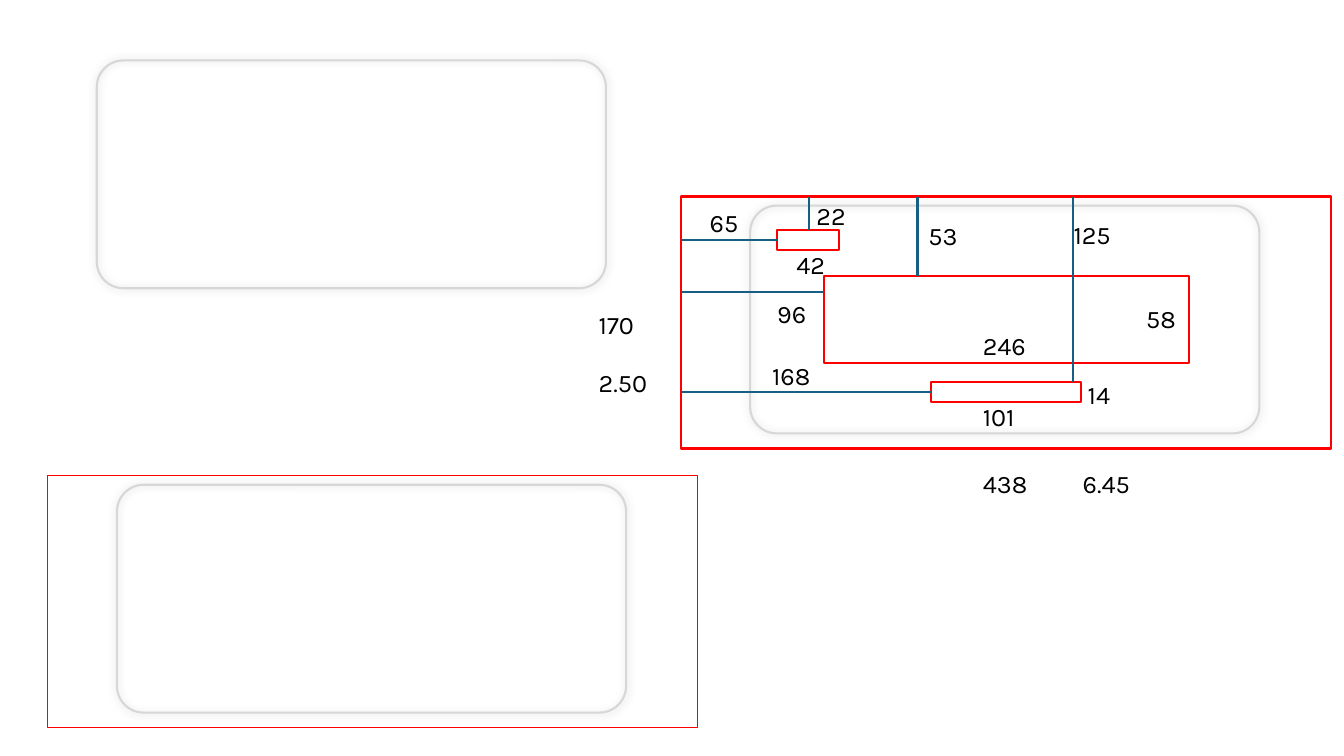
from dataclasses import dataclass

from lxml import etree
from pptx import Presentation, util as u
from pptx.dml.color import RGBColor
from pptx.enum import shapes, text
from pptx.oxml import ns

PX = 9144


@dataclass(frozen=True)
class Theme:
    font: str = "Karla"
    label_size: int = 18
    ink: str = "000000"
    card: str = "D7D7D7"
    frame: str = "FF0000"
    leader: str = "156082"
    stroke: float = 1.5
    hairline: float = 0.5
    glow: int = 6
    corner: float = 0.117


def px(*lengths):
    return [u.Emu(length * PX) for length in lengths]


def write(frame, words, font, size, color):
    run = frame.paragraphs[0].add_run()
    run.text = words
    run.font.name = font
    run.font.size = u.Pt(size)
    run.font.color.rgb = RGBColor.from_string(color)


class Sketch:
    """Draws the elements of a dimensioned layout on one slide."""

    def __init__(self, slide, theme):
        self.shapes = slide.shapes
        self.theme = theme

    def outline(self, kind, area, color, width):
        outline = self.shapes.add_shape(kind, *px(*area))
        outline.shadow.inherit = False
        outline.fill.background()
        outline.line.color.rgb = RGBColor.from_string(color)
        outline.line.width = u.Pt(width)
        return outline

    def box(self, area, width=None):
        self.outline(shapes.MSO_SHAPE.RECTANGLE, area, self.theme.frame,
                     width or self.theme.stroke)

    def card(self, left, top):
        card = self.outline(shapes.MSO_SHAPE.ROUNDED_RECTANGLE,
                            (left, top, 505, 226),
                            self.theme.card, self.theme.stroke)
        card.adjustments[0] = self.theme.corner
        effects = card._element.spPr.find(ns.qn("a:effectLst"))
        glow = etree.SubElement(effects, ns.qn("a:outerShdw"),
                                blurRad=str(u.Pt(self.theme.glow)), dist="0",
                                dir="0", algn="ctr", rotWithShape="0")
        etree.SubElement(glow, ns.qn("a:srgbClr"), val=self.theme.card)

    def leader(self, *ends):
        leader = self.shapes.add_connector(shapes.MSO_CONNECTOR.STRAIGHT, *px(*ends))
        leader.line.color.rgb = RGBColor.from_string(self.theme.leader)
        leader.line.width = u.Pt(self.theme.stroke)
        etree.SubElement(leader._element.spPr, ns.qn("a:effectLst"))

    def label(self, words, left, top, width=107):
        label = self.shapes.add_textbox(*px(left, top, width, 40)).text_frame
        label.word_wrap = True
        label.auto_size = text.MSO_AUTO_SIZE.SHAPE_TO_FIT_TEXT
        write(label, words, font=self.theme.font, size=self.theme.label_size,
              color=self.theme.ink)


FRAME_LEFT, FRAME_TOP = 675, 195
FRAME_SIZE = (645, 250)
CARDS = [(96, 60), (744, 204), (116, 481)]
FIELDS = [
    ((817, 274, 362, 86), 910, 290),
    ((923, 379, 149, 20), 1064, 389),
    ((771, 228, 61, 20), 802, 238),
]
LABELS = [
    ("438", 965, 460), ("6.45", 1064, 460), ("2.50", 584, 359), ("170", 584, 302),
    ("96", 761, 291), ("53", 911, 214), ("246", 965, 323), ("58", 1127, 296),
    ("168", 756, 353), ("125", 1055, 213), ("101", 965, 393), ("14", 1069, 371),
    ("65", 694, 201, 53), ("22", 800, 194, 53), ("42", 780, 242, 53),
]


def main():
    deck = Presentation()
    deck.slide_width, deck.slide_height = px(1333, 750)
    theme = Theme()
    sketch = Sketch(deck.slides.add_slide(deck.slide_layouts[6]), theme)

    for corner in CARDS:
        sketch.card(*corner)
    sketch.box((FRAME_LEFT, FRAME_TOP, *FRAME_SIZE))
    sketch.box((47, 472, *FRAME_SIZE), theme.hairline)
    for field, drop_x, reach_y in FIELDS:
        left, top = field[:2]
        sketch.box(field)
        sketch.leader(FRAME_LEFT, reach_y, left, reach_y)
        sketch.leader(drop_x, FRAME_TOP, drop_x, top)
    for label in LABELS:
        sketch.label(*label)

    deck.save("out.pptx")


if __name__ == "__main__":
    main()
